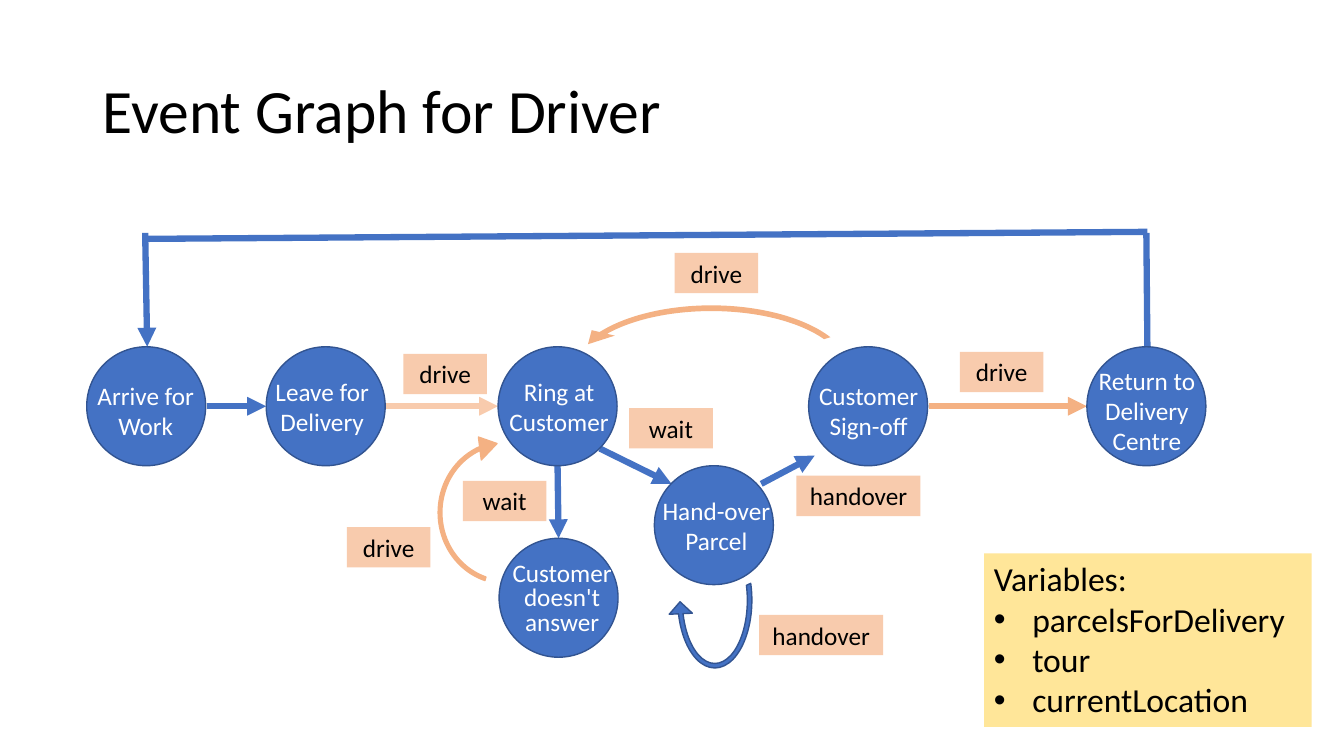
from lxml import etree
from pptx import Presentation
from pptx.dml.color import RGBColor
from pptx.enum.shapes import MSO_CONNECTOR, MSO_SHAPE
from pptx.enum.text import MSO_ANCHOR, PP_ALIGN
from pptx.oxml.ns import qn
from pptx.util import Inches, Pt

COLORS = {
    "black": "000000", "white": "FFFFFF", "blue": "4472C4", "outline": "325491",
    "orange": "F4B183", "peach": "F8CBAD", "yellow": "FFE699",
}
RGB = {name: RGBColor.from_string(value) for name, value in COLORS.items()}

prs = Presentation()
prs.slide_width, prs.slide_height = Inches(13.33), Inches(7.5)
s = prs.slides.add_slide(prs.slide_layouts[6])


def add_text(at, lines, size=18, color="black", fill=None,
             align=PP_ALIGN.CENTER, spacing=1.0, anchor=MSO_ANCHOR.TOP):
    sp = s.shapes.add_textbox(*map(Inches, at))
    if fill:
        sp.fill.solid()
        sp.fill.fore_color.rgb = RGB[fill]
    tf = sp.text_frame
    tf.word_wrap, tf.vertical_anchor = True, anchor
    for i, line in enumerate(lines):
        p = tf.paragraphs[0] if i == 0 else tf.add_paragraph()
        p.alignment, p.line_spacing = align, spacing
        r = p.add_run()
        r.text = line
        font = {"name": "Calibri", "size": Pt(size)}
        for key, value in font.items():
            setattr(r.font, key, value)
        r.font.color.rgb = RGB[color]
    return tf


def add_solid(kind, at, fill, line):
    sp = s.shapes.add_shape(kind, *map(Inches, at))
    sp.shadow.inherit = False
    sp.fill.solid()
    sp.fill.fore_color.rgb = RGB[fill]
    if line:
        sp.line.color.rgb = RGB[line]
        sp.line.width = Pt(1)
    else:
        sp.line.fill.background()
    return sp


add_text((0.92, 0.4, 11.5, 1.45), ["Event Graph for Driver"], size=44,
         align=PP_ALIGN.LEFT, spacing=0.9, anchor=MSO_ANCHOR.MIDDLE)

# Straight edges: from, to, colour, arrowhead
edges = [
    ((5.95, 4.45), (6.66, 4.8), "blue", True),
    ((7.55, 4.8), (8.08, 4.52), "blue", True),
    ((9.21, 4.03), (10.78, 4.03), "orange", True),
    ((3.82, 4.03), (4.94, 4.03), "peach", True),
    ((2.05, 4.03), (2.64, 4.03), "blue", True),
    ((1.44, 2.31), (1.46, 3.44), "blue", True),
    ((11.37, 2.31), (11.38, 3.44), "blue", False),
    ((1.46, 2.37), (11.38, 2.3), "blue", False),
    ((5.53, 4.62), (5.54, 5.34), "blue", True),
]
for start, end, color, has_head in edges:
    edge = s.shapes.add_connector(MSO_CONNECTOR.STRAIGHT, *map(Inches, start + end))
    edge.line.color.rgb = RGB[color]
    edge.line.width = Pt(4.5)
    if has_head:
        etree.SubElement(edge.line._get_or_add_ln(), qn("a:tailEnd"), type="triangle")
    etree.SubElement(edge._element.spPr, qn("a:effectLst"))

# Events: circle left and top, caption left, top and height, lines, line spacing
DIAMETER = 1.18
events = [
    (0.86, 3.44, 0.7, 3.72, 0.71, ["Arrive for Work"], 1.0),
    (2.64, 3.44, 2.45, 3.68, 0.71, ["Leave for Delivery"], 1.0),
    (4.94, 3.44, 4.8, 3.68, 0.71, ["Ring at Customer"], 1.0),
    (6.49, 4.62, 6.36, 4.86, 0.71, ["Hand-over Parcel"], 1.0),
    (8.02, 3.44, 7.87, 3.72, 0.71, ["Customer", "Sign-off"], 1.0),
    (10.78, 3.44, 10.63, 3.57, 1.01, ["Return to Delivery Centre"], 1.0),
    (4.95, 5.34, 4.83, 5.54, 0.83, ["Customer doesn't answer"], 0.8),
]
for x, y, text_x, text_y, text_h, lines, spacing in events:
    add_solid(MSO_SHAPE.OVAL, (x, y, DIAMETER, DIAMETER), "blue", "outline")
    add_text((text_x, text_y, 1.49, text_h), lines, color="white", spacing=spacing)

# Curved edges: box, adjustments, flips, rotation, fill, line
loops = [
    ((6.63, 5.19, 0.92, 1.53), (0.049, 11.423, 203.017, 92.887, 0.125),
     ("flipH", "flipV"), 0, "blue", "outline"),
    ((5.57, 2.94, 2.97, 1.53), (0.037, 4.353, 203.658, 118.152, 0.077),
     ("flipH",), 0, "orange", None),
    ((4.21, 4.32, 1.61, 1.53), (0.024, 8.86, 202.878, 118.152, 0.075),
     ("flipH", "flipV"), 90, "orange", "orange"),
]
for at, adjustments, flips, rotation, fill, line in loops:
    loop = add_solid(MSO_SHAPE.CIRCULAR_ARROW, at, fill, line)
    loop.rotation = rotation
    for i, value in enumerate(adjustments):
        loop.adjustments[i] = value
    for flip in flips:
        loop._element.spPr.xfrm.set(flip, "1")

# Edge labels: width and places per wording
labels = {
    "drive": (0.83, [(4, 3.51), (3.44, 5.23), (6.69, 2.51), (9.52, 3.49)]),
    "handover": (1.23, [(7.53, 6.1), (7.9, 4.72)]),
    "wait": (0.83, [(6.24, 4.05), (4.59, 4.77)]),
}
for label, (width, places) in labels.items():
    for x, y in places:
        add_text((x, y, width, 0.4), [label], fill="peach")

variables = add_text(
    (9.76, 5.49, 3.25, 1.72),
    ["Variables:", "parcelsForDelivery", "tour", "currentLocation"],
    size=24, fill="yellow", align=PP_ALIGN.LEFT)
for p in variables.paragraphs[1:]:
    pPr = p._p.get_or_add_pPr()
    pPr.set("marL", str(Inches(0.38)))
    pPr.set("indent", str(Inches(-0.38)))
    etree.SubElement(pPr, qn("a:buFont"), typeface="Arial")
    etree.SubElement(pPr, qn("a:buChar"), char="•")

prs.save("out.pptx")
